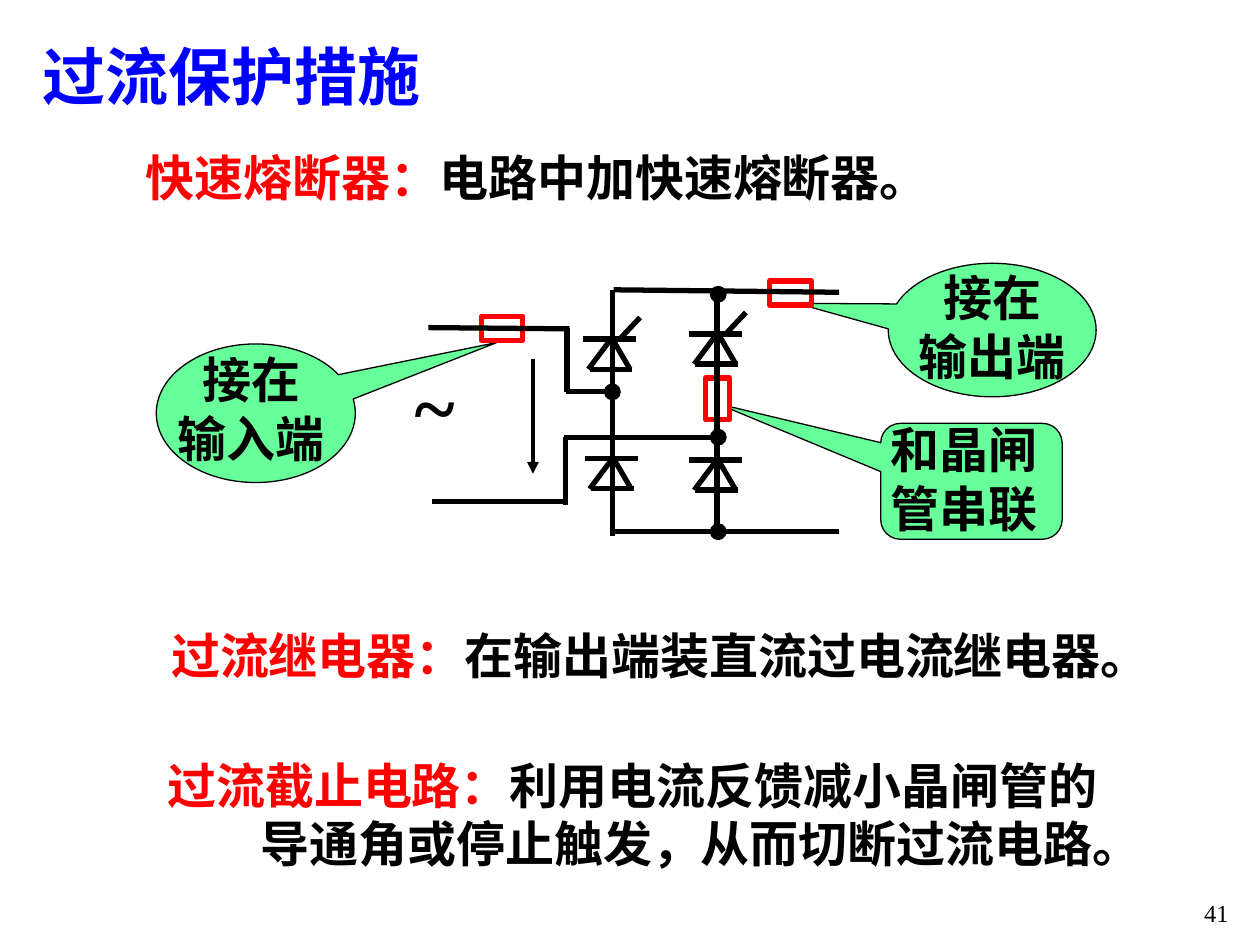
from dataclasses import dataclass
from lxml.etree import SubElement as Sub
from pptx import Presentation
from pptx.dml.color import RGBColor as Color
from pptx.enum.shapes import MSO_CONNECTOR as Link, MSO_SHAPE as Form
from pptx.enum.text import MSO_ANCHOR as Anchor, PP_ALIGN as Align
from pptx.oxml.ns import qn
from pptx.util import Inches, Pt


@dataclass(frozen=True)
class Theme:
    font: str = "Times New Roman"
    ink: str = "000000"
    blue: str = "0000FF"
    red: str = "FF0000"
    green: str = "66FF99"
    white: str = "FFFFFF"
    title: int = 36
    body: int = 28
    wave: int = 44
    page: int = 14
    wire: float = 3
    arrow: float = 2.25
    edge: float = 0.75
    dot: float = 1


T = Theme()
WIDE, HIGH = 10, 7.5
COLS, ROWS = 1000, 750

TITLE = ("过流保护措施", (24, 25, 476, 70))
POINTS = [
    ("快速熔断器：", "电路中加快速熔断器。", (106, 112, 809, 57), 0),
    ("过流继电器：", "在输出端装直流过电流继电器。", (126, 491, 819, 57), 0),
    ("过流截止电路：", "利用电流反馈减小晶闸管的 导通角或停止触发，从而切断过流电路。",
     (123, 594, 802, 104), 74),
]
NOTES = [
    (Form.OVAL_CALLOUT, (705, 209, 165, 106), (-0.94, -0.2),
     ("接在", "输出端"), (715, 207, 145, 104), Align.CENTER),
    (Form.OVAL_CALLOUT, (124, 273, 158, 110), (1.21, -0.51),
     ("接在", "输入端"), (127, 272, 145, 104), Align.CENTER),
    (Form.ROUNDED_RECTANGULAR_CALLOUT, (699, 336, 144, 92), (-1.4, -0.67, 0.17),
     ("和晶闸", "管串联"), (697, 328, 145, 104), Align.LEFT),
]
WAVE = ("~", (319, 279, 52, 84))
PAGE = ("41", (777, 708, 208, 50))

FUSE = (33, 19)
FUSES = [(569.5, 316.5, 270), (627.5, 232.5, 0), (398.5, 260.5, 0)]
DOT = (12, 12)
DOTS = [(486, 311), (570, 233.5), (570, 347), (570, 422)]
WIRES = [
    (340, 260, 452, 261), (450, 260, 450, 311), (449, 311, 484, 311),
    (343, 398, 448, 398), (449, 347, 449, 401), (448, 347, 569, 347),
    (487, 230, 666, 232), (485, 422, 666, 422),
    (486, 230, 486, 425), (569, 230, 569, 425),
]
ARROW = (423, 285, 423, 376)
VALVE = [(-21, 0, 21, 0), (1, 0, -17, 24), (-16, 24, 18, 24), (2, 0, 16, 24)]
GATE = (8, 0, 24, -17)
VALVES = [(484, 269, True), (568, 265, True), (485, 364, False), (568, 365, False)]

deck = Presentation()
deck.slide_width, deck.slide_height = Inches(WIDE), Inches(HIGH)
slide = deck.slides.add_slide(deck.slide_layouts[6])
shapes = slide.shapes


def place(x, y, *rest):
    ends = (x, y) + rest
    units = (WIDE / COLS, HIGH / ROWS)
    return [Inches(n * units[i % 2]) for i, n in enumerate(ends)]


def paint(form, fill, line, width):
    form.shadow.inherit = False
    form.fill.solid()
    form.fill.fore_color.rgb = Color.from_string(fill)
    form.line.color.rgb = Color.from_string(line)
    form.line.width = Pt(width)


def write(rows, area, size, bold=True, align=Align.LEFT,
          anchor=Anchor.MIDDLE, hang=0):
    frame = shapes.add_textbox(*place(*area)).text_frame
    frame.word_wrap = True
    frame.vertical_anchor = anchor
    for i, row in enumerate(rows):
        para = frame.add_paragraph() if i else frame.paragraphs[0]
        para.alignment = align
        if hang:
            inset = place(hang, 0)[0]
            props = para._p.get_or_add_pPr()
            props.set("marL", str(inset))
            props.set("indent", str(-inset))
        para.font.name, para.font.size, para.font.bold = T.font, Pt(size), bold
        for text, tint in row:
            run = para.add_run()
            run.text = text
            run.font.color.rgb = Color.from_string(tint)


def wire(ends, width=T.wire, head=False):
    line = shapes.add_connector(Link.STRAIGHT, *place(*ends))
    line.line.color.rgb = Color.from_string(T.ink)
    line.line.width = Pt(width)
    if head:
        Sub(line.line._get_or_add_ln(), qn("a:tailEnd"), type="triangle")
    Sub(line._element.spPr, qn("a:effectLst"))


def centre(form, x, y, size):
    w, h = size
    return shapes.add_shape(form, *place(x - w / 2, y - h / 2, w, h))


def shift(ends, x, y):
    a, b, c, d = ends
    return x + a, y + b, x + c, y + d


text, area = TITLE
write([[(text, T.blue)]], area, T.title)
for head, body, area, hang in POINTS:
    write([[(head, T.red), (body, T.ink)]], area, T.body, hang=hang)

for form, area, tip, rows, box, align in NOTES:
    note = shapes.add_shape(form, *place(*area))
    for i, share in enumerate(tip):
        note.adjustments[i] = share
    paint(note, T.green, T.ink, T.edge)
    write([[(row, T.ink)] for row in rows], box, T.body, align=align)

for x, y, turn in FUSES:
    fuse = centre(Form.RECTANGLE, x, y, FUSE)
    fuse.rotation = turn
    paint(fuse, T.white, T.red, T.wire)
for ends in WIRES:
    wire(ends)
wire(ARROW, T.arrow, True)
for x, y, gate in VALVES:
    for ends in VALVE + [GATE] * gate:
        wire(shift(ends, x, y))
for x, y in DOTS:
    paint(centre(Form.OVAL, x, y, DOT), T.ink, T.ink, T.dot)

text, area = WAVE
write([[(text, T.ink)]], area, T.wave, align=Align.CENTER)
text, area = PAGE
write([[(text, T.ink)]], area, T.page, False, Align.RIGHT, Anchor.TOP)

deck.save("out.pptx")
